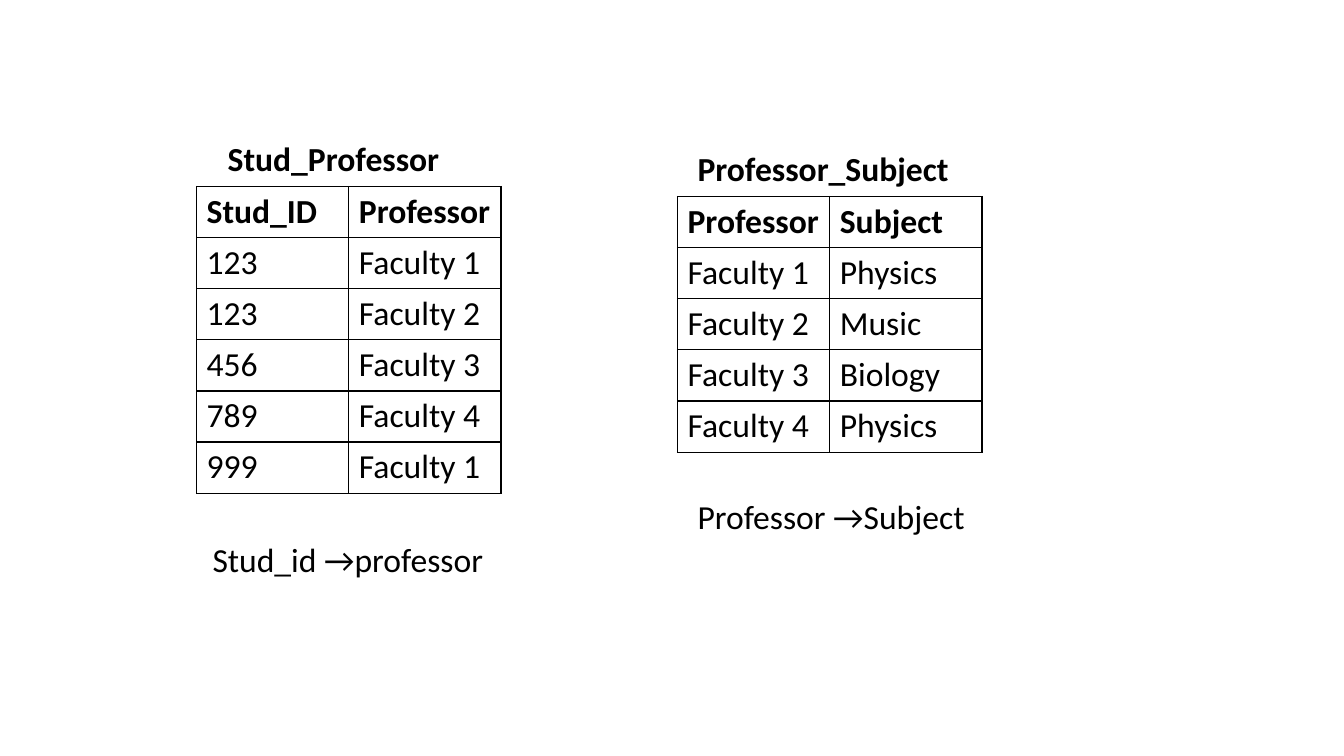
import pptx
import pptx.util
import pptx.dml.color
import pptx.enum.text
import pptx.oxml
import pptx.oxml.ns
import lxml.etree

Inches = pptx.util.Inches
BLACK = "000000"


def write(frame, text, bold):
    span = frame.paragraphs[0].add_run()
    span.text = text
    span.font.name = "Calibri"
    span.font.size = pptx.util.Pt(24)
    span.font.bold = bold
    span.font.color.rgb = pptx.dml.color.RGBColor.from_string(BLACK)


def add_borders(cell):
    properties = cell._tc.get_or_add_tcPr()
    for side in ("a:lnL", "a:lnR", "a:lnT", "a:lnB"):
        line = lxml.etree.SubElement(properties, pptx.oxml.ns.qn(side), w="12700")
        fill = lxml.etree.SubElement(line, pptx.oxml.ns.qn("a:solidFill"))
        lxml.etree.SubElement(fill, pptx.oxml.ns.qn("a:srgbClr"), val=BLACK)


deck = pptx.Presentation()
deck.slide_width = Inches(13.33)
deck.slide_height = Inches(7.5)
page = deck.slides.add_slide(deck.slide_layouts[6])

relations = [
    (1.95, 1.85, [
        ("Stud_ID", "Professor"),
        ("123", "Faculty 1"),
        ("123", "Faculty 2"),
        ("456", "Faculty 3"),
        ("789", "Faculty 4"),
        ("999", "Faculty 1"),
    ]),
    (6.72, 1.95, [
        ("Professor", "Subject"),
        ("Faculty 1", "Physics"),
        ("Faculty 2", "Music"),
        ("Faculty 3", "Biology"),
        ("Faculty 4", "Physics"),
    ]),
]
for left, top, rows in relations:
    table = page.shapes.add_table(
        len(rows), 2, Inches(left), Inches(top), Inches(3.02), Inches(0.5 * len(rows))
    ).table
    table.horz_banding = False
    for row_index, values in enumerate(rows):
        for column_index, value in enumerate(values):
            cell = table.cell(row_index, column_index)
            write(cell.text_frame, value, row_index == 0)
            add_borders(cell)
            cell.fill.background()

labels = [
    ("Stud_Professor", 2.16, 1.01, 2.45, 0.81, True),
    ("Professor_Subject", 6.82, 1.42, 3.06, 0.5, True),
    ("Stud_id →professor", 2.01, 5.3, 2.93, 0.5, False),
    ("Professor →Subject", 6.82, 4.87, 3.06, 0.5, False),
]
for text, left, top, width, height, bold in labels:
    box = page.shapes.add_textbox(Inches(left), Inches(top), Inches(width), Inches(height))
    box.text_frame.word_wrap = True
    box.text_frame.vertical_anchor = pptx.enum.text.MSO_ANCHOR.BOTTOM
    write(box.text_frame, text, bold)

deck.save("out.pptx")
